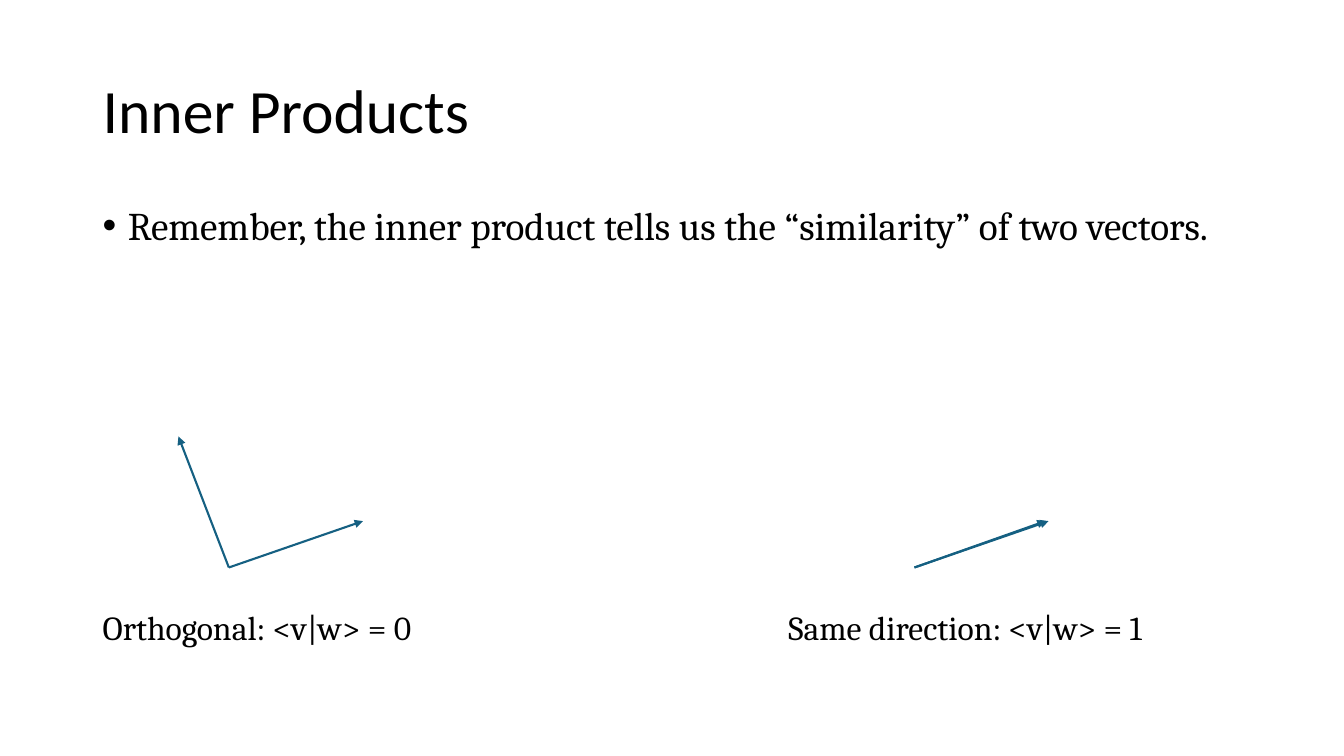
from lxml import etree
from pptx import Presentation
from pptx import util as u
from pptx.dml.color import RGBColor
from pptx.enum import shapes, text
from pptx.oxml import ns

BLACK = RGBColor(0x00, 0x00, 0x00)
TEAL = RGBColor(0x15, 0x60, 0x82)
HEADING_FONT = "Calibri"
BODY_FONT = "Cambria"


def add_text(page, left, top, width, height, words, size, font):
    box = page.shapes.add_textbox(*map(u.Inches, (left, top, width, height)))
    box.text_frame.word_wrap = True
    para = box.text_frame.paragraphs[0]
    para.text = words
    return box, para, size, font


def style(para, size, font):
    para.font.size = u.Pt(size)
    para.font.name = font
    para.font.color.rgb = BLACK


def add_title(page, left, top, width, height, words):
    box, para, size, font = add_text(page, left, top, width, height, words, 44, HEADING_FONT)
    box.text_frame.vertical_anchor = text.MSO_ANCHOR.MIDDLE
    para.line_spacing = 0.9
    style(para, size, font)


def add_body(page, left, top, width, height, words):
    box, para, size, font = add_text(page, left, top, width, height, words, 28, BODY_FONT)
    para.line_spacing = 0.9
    properties = para._p.get_or_add_pPr()
    properties.set("marL", str(u.Inches(0.25)))
    properties.set("indent", str(u.Inches(-0.25)))
    etree.SubElement(properties, ns.qn("a:buFont")).set("typeface", "Arial")
    etree.SubElement(properties, ns.qn("a:buChar")).set("char", "•")
    style(para, size, font)


def add_vector(page, x, y, run, rise):
    ends = map(u.Inches, (x, y, x + run, y - rise))
    vector = page.shapes.add_connector(shapes.MSO_CONNECTOR.STRAIGHT, *ends)
    vector.line.color.rgb = TEAL
    vector.line.width = u.Pt(1.5)
    outline = vector.line._get_or_add_ln()
    etree.SubElement(outline, ns.qn("a:tailEnd")).set("type", "triangle")
    etree.SubElement(vector._element.spPr, ns.qn("a:effectLst"))


def add_vector_pair(page, left, top, width, vectors, caption):
    for run, rise in vectors:
        add_vector(page, left + 1.35, top + 1.3, run, rise)
    box, para, size, font = add_text(page, left, top + 1.64, width, 0.5, caption, 24, BODY_FONT)
    box.text_frame.auto_size = text.MSO_AUTO_SIZE.SHAPE_TO_FIT_TEXT
    style(para, size, font)


def main():
    deck = Presentation()
    deck.slide_width = u.Inches(13.33)
    deck.slide_height = u.Inches(7.5)
    page = deck.slides.add_slide(deck.slide_layouts[6])
    add_title(page, 0.92, 0.4, 11.5, 1.45, "Inner Products")
    add_body(page, 0.92, 2, 11.5, 4.76,
             "Remember, the inner product tells us the “similarity” of two vectors.")
    add_vector_pair(page, 0.92, 4.33, 3.84, [(-0.5, 1.3), (1.33, 0.46)],
                    "Orthogonal: <v|w> = 0")
    add_vector_pair(page, 7.72, 4.33, 4.22, [(1.3, 0.46), (1.33, 0.46)],
                    "Same direction: <v|w> = 1")
    deck.save("out.pptx")


if __name__ == "__main__":
    main()
